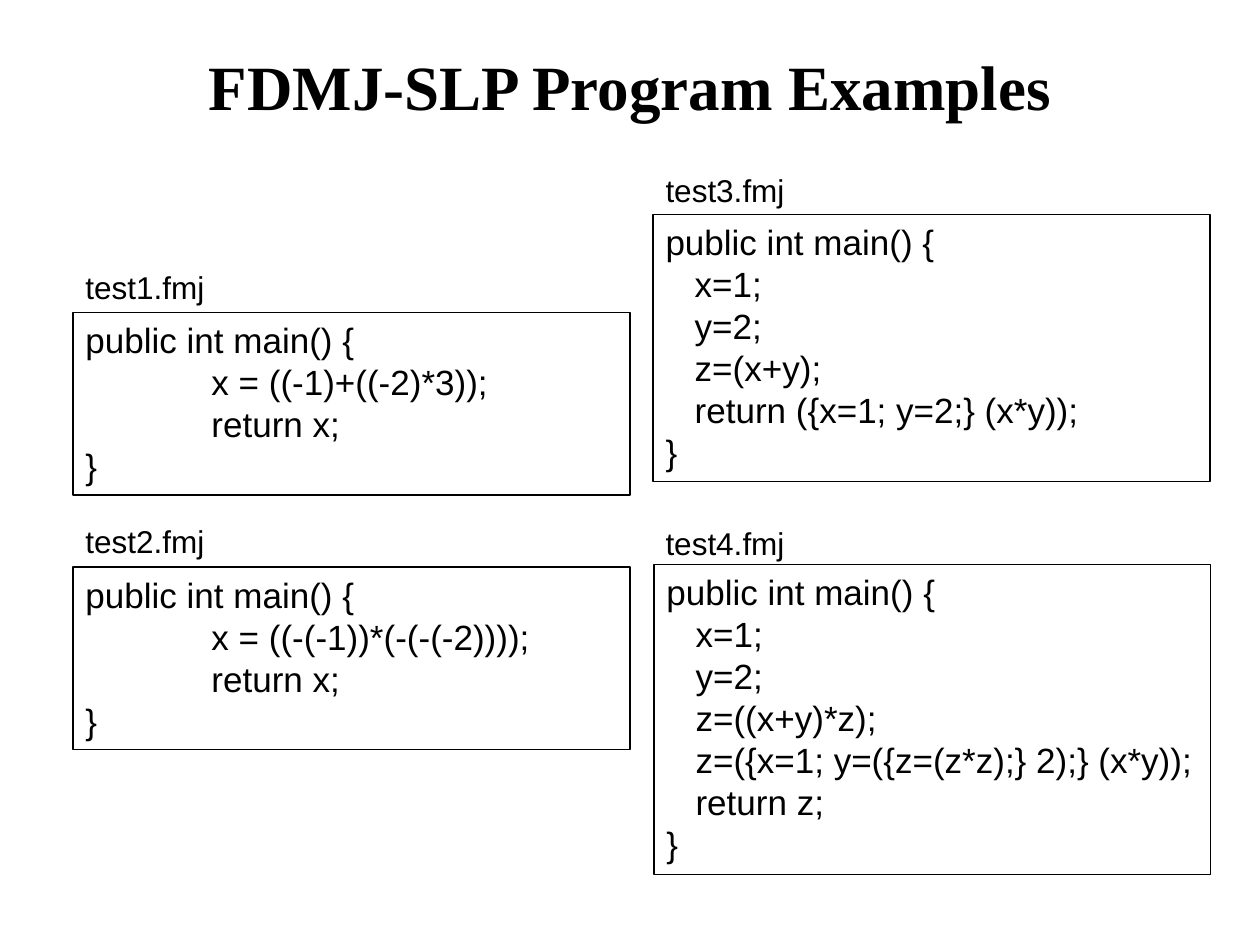
from pptx import Presentation
from pptx.dml.color import RGBColor
from pptx.enum.text import MSO_ANCHOR, PP_ALIGN
from pptx.util import Pt

MIDDLE = MSO_ANCHOR.MIDDLE
CENTER = PP_ALIGN.CENTER
BLACK = RGBColor(0, 0, 0)

# Sizes shared by all listings
WIDE = 318.24
LABEL_W, LABEL_H = 114.48, 28.8
LEFT, RIGHT = 41.76, 373.2
TAB, STEP = 72, 16.7

# Name, label top, box left, box top, box height, indent, body lines
PROGRAMS = [
    ("test1.fmj", LEFT, 149.76, LEFT, 178.56, 104.4, TAB,
     ["x = ((-1)+((-2)*3));", "return x;"]),
    ("test2.fmj", LEFT, 294.48, LEFT, 324, 104.4, TAB,
     ["x = ((-(-1))*(-(-(-2))));", "return x;"]),
    ("test3.fmj", RIGHT, 94.32, RIGHT, 122.4, 152.64, STEP,
     ["x=1;", "y=2;", "z=(x+y);", "return ({x=1; y=2;} (x*y));"]),
    ("test4.fmj", RIGHT, 295.92, 373.68, 322.56, 177.12, STEP,
     ["x=1;", "y=2;", "z=((x+y)*z);",
      "z=({x=1; y=({z=(z*z);} 2);} (x*y));", "return z;"]),
]


def style(para, size, face):
    para.font.size = Pt(size)
    para.font.name = face
    para.font.color.rgb = BLACK


def add_text(x, y, w, h, lines, size, indent=0):
    box = slide.shapes.add_textbox(Pt(x), Pt(y), Pt(w), Pt(h))
    frame = box.text_frame
    frame.word_wrap = True
    frame.text = "\n".join(lines)
    for para in frame.paragraphs:
        style(para, size, "Arial")
        para.line_spacing = Pt(size * 1.2)
    # Indent the lines between the braces
    for para in frame.paragraphs[1:-1]:
        para._p.get_or_add_pPr().set("marL", str(Pt(indent)))
    return box


deck = Presentation()
deck.slide_width, deck.slide_height = Pt(720), Pt(540)
slide = deck.slides.add_slide(deck.slide_layouts[5])

# Title
title = slide.shapes.title
title.left, title.top = Pt(54), Pt(23.76)
title.width, title.height = Pt(612), Pt(50.4)
title.text_frame.text = "FDMJ-SLP Program Examples"
title.text_frame.vertical_anchor = MIDDLE
head = title.text_frame.paragraphs[0]
head.alignment = CENTER
style(head, 36, "Times New Roman")
head.font.bold = True

# Labels and framed listings
for name, label_x, label_y, x, y, high, indent, body in PROGRAMS:
    add_text(label_x, label_y, LABEL_W, LABEL_H, [name], 18)
    code = ["public int main() {", *body, "}"]
    frame = add_text(x, y, WIDE, high, code, 20, indent)
    frame.line.color.rgb = BLACK
    frame.line.width = Pt(0.75)

deck.save("out.pptx")
